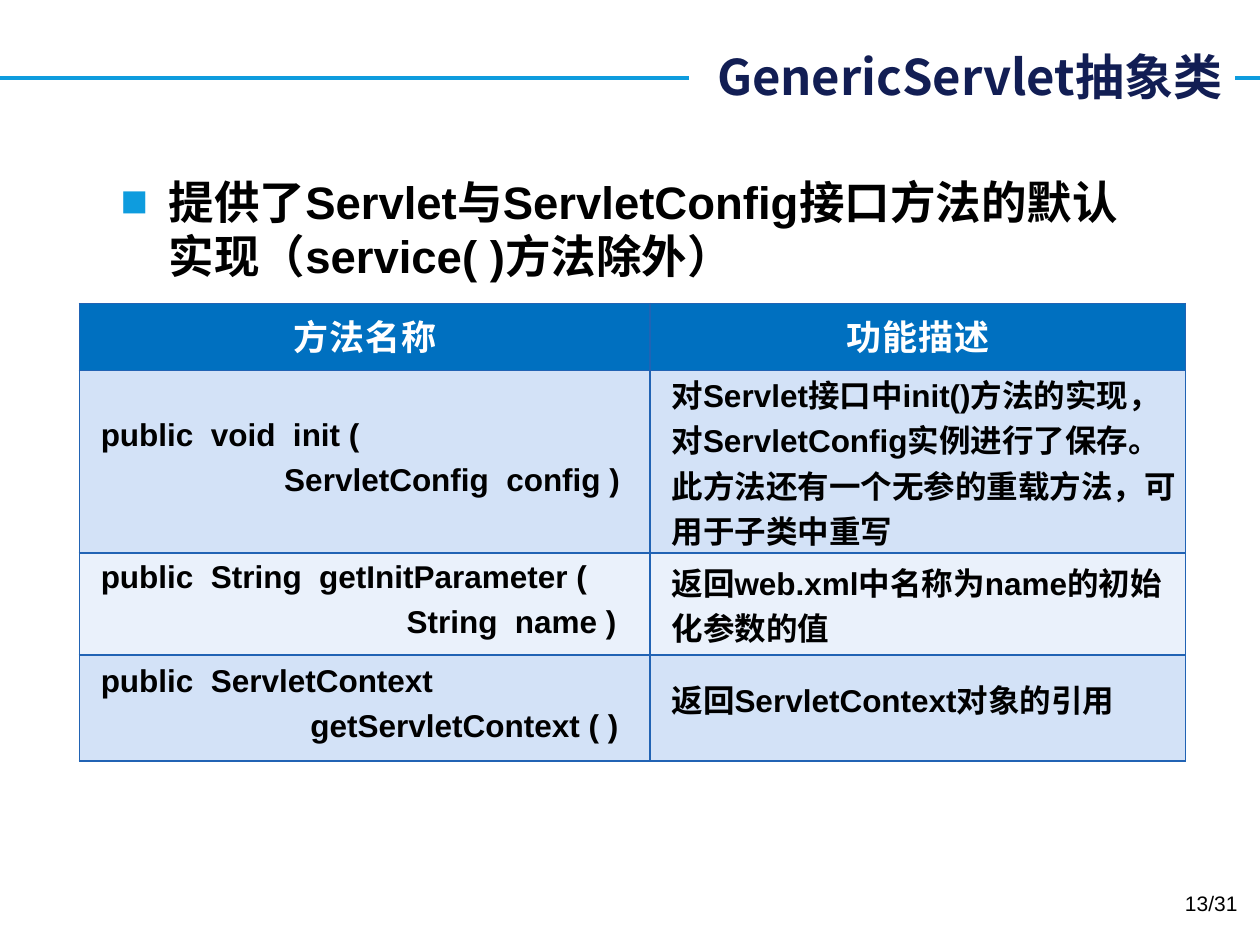
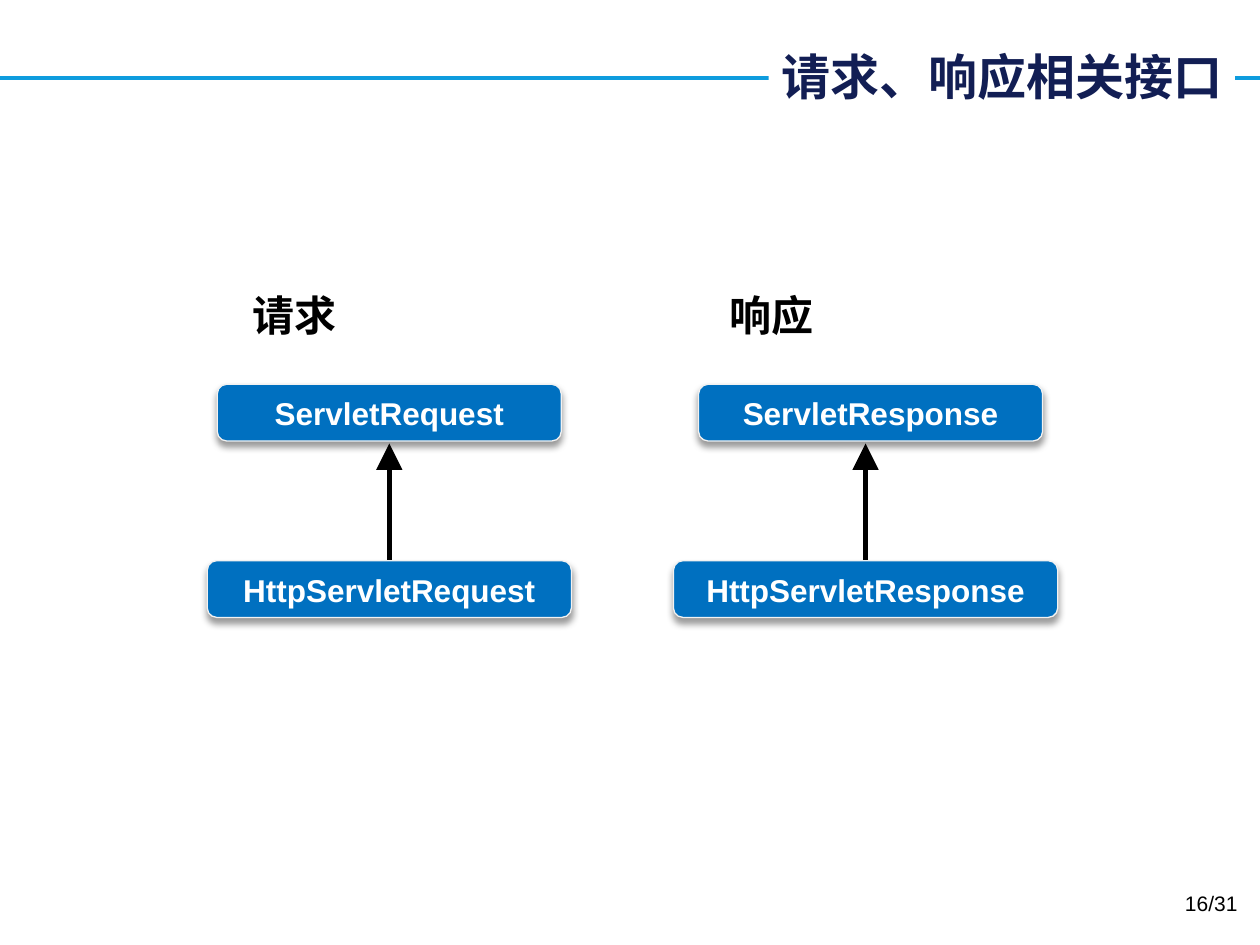
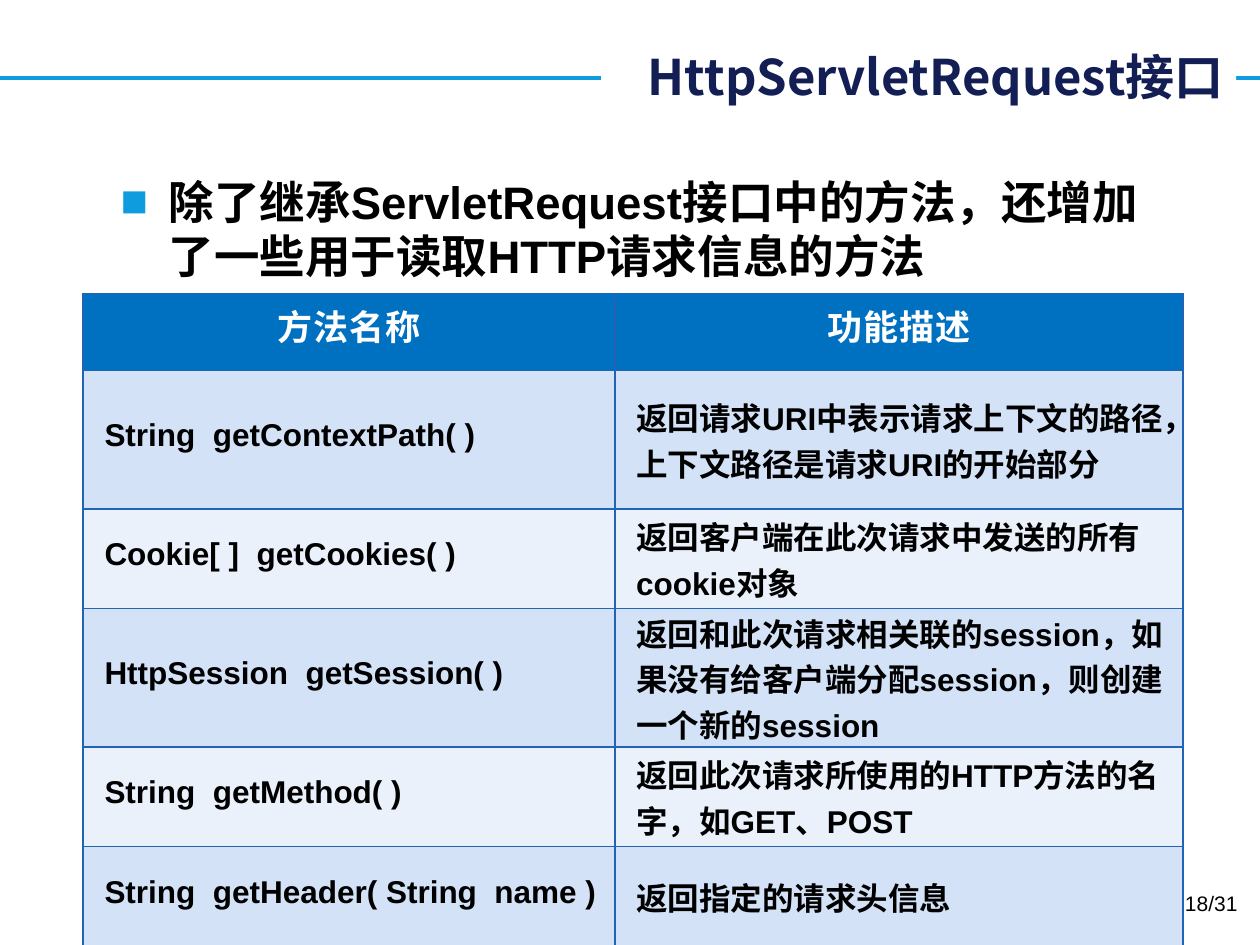
"""Build three slides on the Servlet interfaces."""
from lxml.etree import SubElement as Sub
from pptx import Presentation
from pptx.dml.color import RGBColor as RGB
from pptx.enum.shapes import MSO_CONNECTOR as Conn, MSO_SHAPE as Shape
from pptx.enum.text import MSO_ANCHOR as Anchor, MSO_AUTO_SIZE as Auto, PP_ALIGN as Align
from pptx.oxml.ns import qn
from pptx.util import Inches, Pt

SKY = RGB(0x0E, 0x9C, 0xDE)
NAVY = RGB(0x12, 0x1E, 0x54)
BLUE = RGB(0x00, 0x70, 0xC0)
EDGE = RGB(0x21, 0x63, 0xB4)
BANDS = RGB(0xD3, 0xE2, 0xF7), RGB(0xEA, 0xF1, 0xFB)
PALE = RGB(0xF2, 0xF2, 0xF2)
WHITE = RGB(0xFF, 0xFF, 0xFF)
BLACK = RGB(0x00, 0x00, 0x00)
SANS = "Arial"
HAN = "Noto Sans CJK SC"
HEADS = "方法名称", "功能描述"


def rect(*sides):
    return [Inches(side) for side in sides]


def paint(shape, color):
    shape.fill.solid()
    shape.fill.fore_color.rgb = color


class Deck:
    def __init__(self):
        self.prs = Presentation()
        self.prs.slide_width, self.prs.slide_height = rect(10, 7.5)
        self.slide = None

    def style(self, para, size, color=BLACK, bold=True, face=SANS, align=None):
        para.alignment = align
        for run in para.runs:
            font = run.font
            font.name, font.size, font.bold = face, Pt(size), bold
            font.color.rgb = color
            Sub(font._element, qn("a:ea"), typeface=HAN)

    def start(self, title, left, width, page):
        self.slide = self.prs.slides.add_slide(self.prs.slide_layouts[5])
        head = self.slide.shapes.title
        rule = self.line(0, 0.62, 10, 0.62, SKY, 2.25)
        head.element.addprevious(rule.element)
        head.left, head.top, head.width, head.height = rect(left, 0.32, width, 0.57)
        paint(head, WHITE)
        frame = head.text_frame
        frame.text = title
        frame.auto_size = Auto.NONE
        frame.vertical_anchor = Anchor.MIDDLE
        self.style(frame.paragraphs[0], 28, NAVY, face=HAN, align=Align.RIGHT)
        self.text(f"{page}/31", (7.59, 7.02, 2.33, 0.4), 12, False, Align.RIGHT)

    def line(self, x1, y1, x2, y2, color, width):
        line = self.slide.shapes.add_connector(Conn.STRAIGHT, *rect(x1, y1, x2, y2))
        line.line.color.rgb = color
        line.line.width = Pt(width)
        Sub(line.element.spPr, qn("a:effectLst"))
        return line

    def arrow(self, x, low, high):
        line = self.line(x, low, x, high, BLACK, 3)
        Sub(line.line._get_or_add_ln(), qn("a:tailEnd"), type="triangle", w="lg", len="lg")

    def text(self, words, place, size, bold=True, align=None):
        frame = self.slide.shapes.add_textbox(*rect(*place)).text_frame
        frame.word_wrap = True
        frame.text = words
        self.style(frame.paragraphs[0], size, bold=bold, align=align)
        return frame.paragraphs[0]

    def bullet(self, words, width):
        para = self.text(words, (0.86, 1.33, width, 1), 26)
        props = para._p.get_or_add_pPr()
        props.set("marL", str(Inches(0.38)))
        props.set("indent", str(-Inches(0.38)))
        Sub(Sub(props, qn("a:buClr")), qn("a:srgbClr"), val=str(SKY))
        Sub(props, qn("a:buFont"), typeface=SANS)
        Sub(props, qn("a:buChar"), char="■")

    def box(self, words, mid, top, width):
        place = rect(mid - width / 2, top, width, 0.45)
        box = self.slide.shapes.add_shape(Shape.ROUNDED_RECTANGLE, *place)
        paint(box, BLUE)
        box.line.color.rgb = PALE
        box.line.width = Pt(0.75)
        box.shadow.inherit = False
        cast = Sub(box.element.spPr.find(qn("a:effectLst")), qn("a:outerShdw"),
                   blurRad=str(Pt(4)), dist=str(Pt(3)), dir="5400000", rotWithShape="0")
        tint = Sub(cast, qn("a:srgbClr"), val=str(BLACK))
        Sub(tint, qn("a:alpha"), val="40000")
        frame = box.text_frame
        frame.text = words
        frame.vertical_anchor = Anchor.BOTTOM
        self.style(frame.paragraphs[0], 18, WHITE, align=Align.CENTER)

    def cell(self, cell, words, fill, head, tight):
        props = cell._tc.get_or_add_tcPr()
        for side in ("lnL", "lnR", "lnT", "lnB"):
            edge = Sub(props, qn(f"a:{side}"), w=str(Pt(1)))
            Sub(Sub(edge, qn("a:solidFill")), qn("a:srgbClr"), val=str(EDGE))
        paint(cell, fill)
        side, top = (0.09, 0.05) if head else (0.07, 0)
        cell.margin_left = cell.margin_right = Inches(side)
        cell.margin_top = cell.margin_bottom = Inches(top)
        cell.vertical_anchor = Anchor.TOP if head else Anchor.MIDDLE
        cell.text_frame.text = words
        for spot, para in enumerate(cell.text_frame.paragraphs):
            if head:
                self.style(para, 20, WHITE, face=HAN, align=Align.CENTER)
                para.runs[0].font._element.set("spc", "60")
                continue
            self.style(para, 18)
            para._p.get_or_add_pPr().set("marL", str(Inches(0.1)))
            para.space_after = Pt(5)
            if spot:
                para.space_before = Pt(5)
            if tight:
                para.line_spacing = Pt(15.6)

    def table(self, left, top, cols, highs, rows, tight=()):
        rows = [HEADS, *rows]
        place = rect(left, top, sum(cols), sum(highs))
        grid = self.slide.shapes.add_table(len(rows), len(cols), *place).table
        for col, width in zip(grid.columns, cols):
            col.width = Inches(width)
        for i, (row, high) in enumerate(zip(rows, highs)):
            grid.rows[i].height = Inches(high)
            fill = BANDS[(i - 1) % 2] if i else BLUE
            for j, words in enumerate(row):
                self.cell(grid.cell(i, j), words, fill, i == 0, j == 0 or i in tight)


def main():
    deck = Deck()

    deck.start("GenericServlet抽象类", 5.47, 4.33, 13)
    deck.bullet("提供了Servlet与ServletConfig接口方法的默认实现（service( )方法除外）", 8.24)
    deck.table(0.63, 2.41, (4.53, 4.25), (0.53, 1.45, 0.81, 0.84), [
        ("public  void  init (\n                     ServletConfig  config )",
         "对Servlet接口中init()方法的实现，对ServletConfig实例进行了保存。"
         "此方法还有一个无参的重载方法，可用于子类中重写"),
        ("public  String  getInitParameter (\n                                   String  name )",
         "返回web.xml中名称为name的初始化参数的值"),
        ("public  ServletContext\n                        getServletContext ( )",
         "返回ServletContext对象的引用"),
    ], tight=(3,))

    deck.start("请求、响应相关接口", 6.1, 3.7, 16)
    for label, left, name, mid, top, base in (
        ("请求", 1.91, "ServletRequest", 3.09, 3.09, 2.89),
        ("响应", 5.69, "ServletResponse", 6.91, 6.87, 3.05),
    ):
        deck.arrow(top, 4.45, 3.52)
        deck.box(name, mid, 3.05, 2.73)
        deck.box(f"Http{name}", top, 4.45, base)
        deck.text(label, (left, 2.25, 2.36, 0.5), 24)

    deck.start("HttpServletRequest接口", 4.77, 5.04, 18)
    deck.bullet("除了继承ServletRequest接口中的方法，还增加了一些用于读取HTTP请求信息的方法", 8.36)
    deck.table(0.66, 2.33, (4.22, 4.51), (0.61, 1.1, 0.79, 1.1, 0.79, 0.79), [
        ("String  getContextPath( )",
         "返回请求URI中表示请求上下文的路径，上下文路径是请求URI的开始部分"),
        ("Cookie[ ]  getCookies( )", "返回客户端在此次请求中发送的所有cookie对象"),
        ("HttpSession  getSession( )",
         "返回和此次请求相关联的session，如果没有给客户端分配session，则创建一个新的session"),
        ("String  getMethod( )", "返回此次请求所使用的HTTP方法的名字，如GET、POST"),
        ("String  getHeader( String  name )", "返回指定的请求头信息"),
    ])

    deck.prs.save("out.pptx")


if __name__ == "__main__":
    main()
